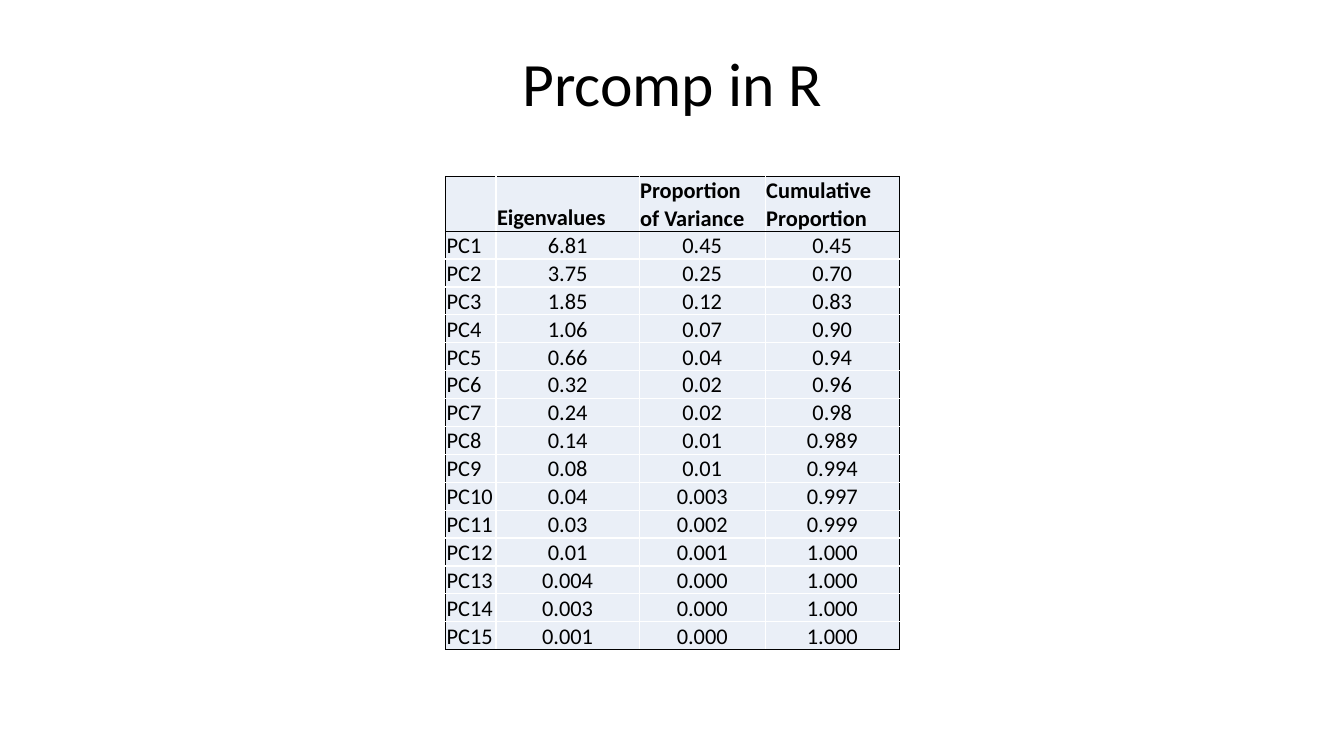
from lxml import etree
from pptx import Presentation
from pptx.dml.color import RGBColor
from pptx.enum import text
from pptx.oxml import ns
from pptx.util import Inches, Pt

FONT = "Calibri"
BLACK, WHITE, PALE_BLUE = "000000", "FFFFFF", "EAEFF7"
COLUMN_WIDTHS = [0.5, 1.42, 1.25, 1.33]
ROW_HEIGHT = 0.21
HEADERS = ["", "Eigenvalues", "Proportion of Variance", "Cumulative Proportion"]
COMPONENTS = [
    ("6.81", "0.45", "0.45"),
    ("3.75", "0.25", "0.70"),
    ("1.85", "0.12", "0.83"),
    ("1.06", "0.07", "0.90"),
    ("0.66", "0.04", "0.94"),
    ("0.32", "0.02", "0.96"),
    ("0.24", "0.02", "0.98"),
    ("0.14", "0.01", "0.989"),
    ("0.08", "0.01", "0.994"),
    ("0.04", "0.003", "0.997"),
    ("0.03", "0.002", "0.999"),
    ("0.01", "0.001", "1.000"),
    ("0.004", "0.000", "1.000"),
    ("0.003", "0.000", "1.000"),
    ("0.001", "0.000", "1.000"),
]


def rgb(color):
    return RGBColor.from_string(color)


def style_paragraph(p, size, align, bold=False):
    p.alignment = align
    p.font.name = FONT
    p.font.size = Pt(size)
    p.font.bold = bold
    p.font.color.rgb = rgb(BLACK)


def add_title(slide, title):
    sp = slide.shapes.add_textbox(Inches(0.92), Inches(0.13), Inches(11.5), Inches(1.45))
    tf = sp.text_frame
    tf.word_wrap = True
    tf.vertical_anchor = text.MSO_ANCHOR.MIDDLE
    p = tf.paragraphs[0]
    p.text = title
    p.line_spacing = 0.9
    style_paragraph(p, 44, text.PP_ALIGN.CENTER)


def set_borders(cell, colors):
    tc_pr = cell._tc.get_or_add_tcPr()
    for i, (side, color) in enumerate(colors.items()):
        ln = etree.Element(ns.qn(f"a:ln{side}"), w=str(Pt(1)))
        fill = etree.SubElement(ln, ns.qn("a:solidFill"))
        etree.SubElement(fill, ns.qn("a:srgbClr"), val=color)
        tc_pr.insert(i, ln)


def fill_cell(cell, value, align, bold):
    cell.fill.solid()
    cell.fill.fore_color.rgb = rgb(PALE_BLUE)
    cell.margin_left = cell.margin_right = cell.margin_top = Inches(0.01)
    cell.margin_bottom = 0
    cell.vertical_anchor = text.MSO_ANCHOR.BOTTOM
    p = cell.text_frame.paragraphs[0]
    if value:
        p.text = value
    style_paragraph(p, 16, align, bold)


def add_component_table(slide):
    rows = [HEADERS] + [(f"PC{n}", *values) for n, values in enumerate(COMPONENTS, 1)]
    last_row, last_col = len(rows) - 1, len(HEADERS) - 1
    frame = slide.shapes.add_table(
        len(rows), len(HEADERS), Inches(4.42), Inches(1.75), Inches(4.5), Inches(4.7))
    table = frame.table
    for column, width in zip(table.columns, COLUMN_WIDTHS):
        column.width = Inches(width)
    for r, values in enumerate(rows):
        table.rows[r].height = Inches(ROW_HEIGHT)
        for c, value in enumerate(values):
            cell = table.cell(r, c)
            centered = r > 0 and c > 0
            align = text.PP_ALIGN.CENTER if centered else text.PP_ALIGN.LEFT
            fill_cell(cell, value, align, bold=r == 0)
            outer = {"L": c == 0, "R": c == last_col, "T": r <= 1, "B": r in (0, last_row)}
            set_borders(cell, {side: BLACK if dark else WHITE for side, dark in outer.items()})
    frame.height = Inches(4.7)


def main():
    prs = Presentation()
    prs.slide_width, prs.slide_height = Inches(13.33), Inches(7.5)
    slide = prs.slides.add_slide(prs.slide_layouts[6])
    add_title(slide, "Prcomp in R")
    add_component_table(slide)
    prs.save("out.pptx")


if __name__ == "__main__":
    main()
